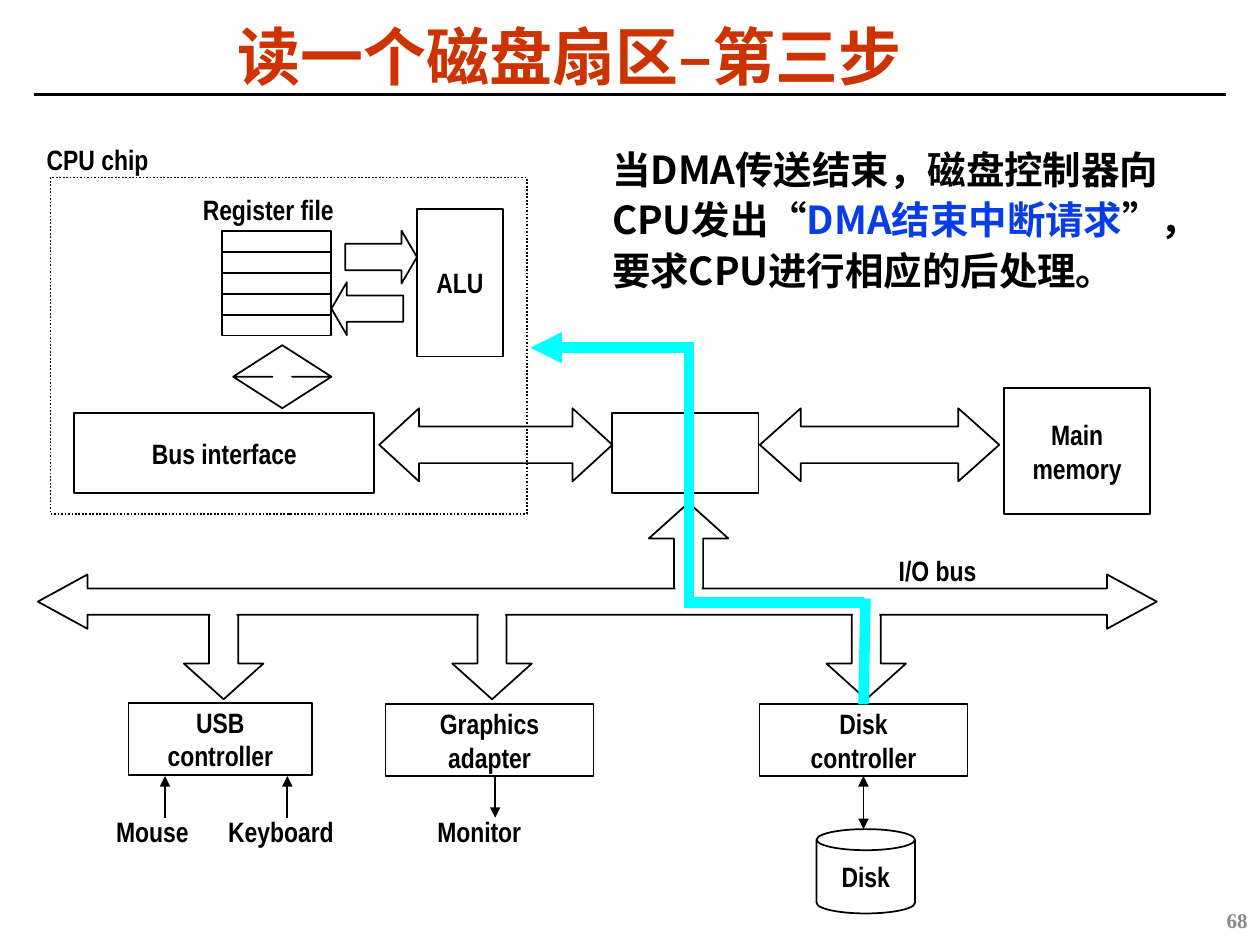
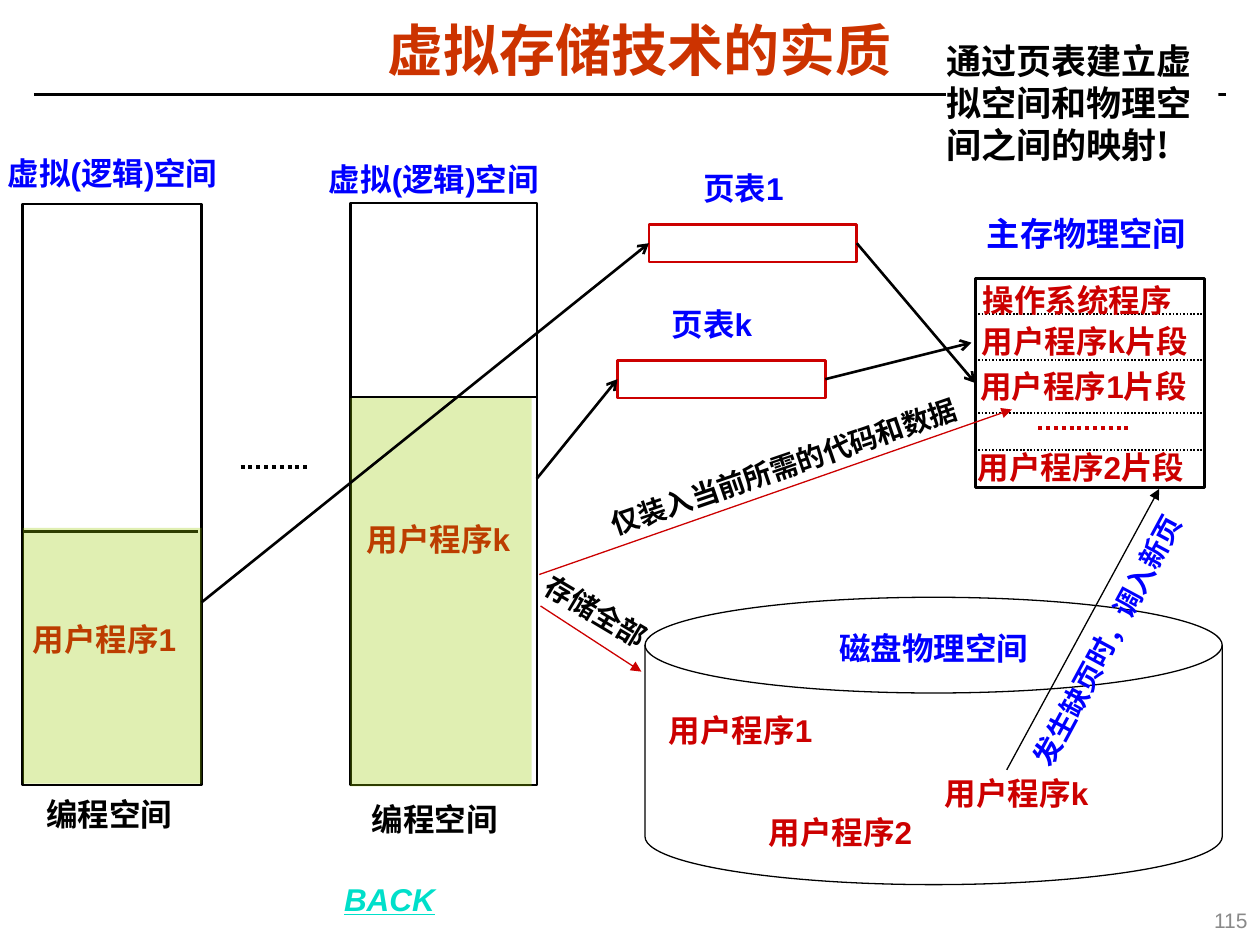
from dataclasses import dataclass

import pptx
import pptx.dml.color
import pptx.enum.dml
import pptx.enum.shapes
import pptx.enum.text
import pptx.oxml
import pptx.oxml.ns
import pptx.util

Pt = pptx.util.Pt
SHAPE = pptx.enum.shapes.MSO_SHAPE
ALIGN = pptx.enum.text.PP_ALIGN
ANCHOR = pptx.enum.text.MSO_ANCHOR
FIT = pptx.enum.text.MSO_AUTO_SIZE
DOTTED = pptx.enum.dml.MSO_LINE.ROUND_DOT
qn = pptx.oxml.ns.qn

BLACK, WHITE, GREY = "000000", "FFFFFF", "898989"
ORANGE, RED, BLUE, CYAN = "CC3300", "CC0000", "0000FF", "00FFFF"
GREEN, TEAL, ROYAL = "99CC00", "00DFCA", "063DE8"
CJK = "Noto Sans CJK SC"
TOP, LEFT, BOTTOM, RIGHT = range(4)
Box = tuple[float, float, float, float]
Point = tuple[float, float]


@dataclass(frozen=True)
class Text:
    size: float = 18
    font: str = "Arial"
    color: str = BLACK
    bold: bool = True
    italic: bool = False
    underline: bool = False
    align: ALIGN = ALIGN.LEFT
    anchor: ANCHOR = ANCHOR.TOP
    wrap: bool = True
    inset: bool = False
    spacing: float = 1.0


@dataclass(frozen=True)
class Line:
    color: str = BLACK
    width: float = 1
    dotted: bool = False
    head: str = ""
    tail: str = ""


@dataclass(frozen=True)
class AddressSpace:
    frame: Box
    program: str
    program_at: Point
    divider: tuple[Point, Point]
    caption_at: Point
    heading_at: Point
    used: Box


@dataclass(frozen=True)
class PageTable:
    name: str
    at: Point
    source: Point
    target: Point


def rgb(color: str) -> pptx.dml.color.RGBColor:
    return pptx.dml.color.RGBColor.from_string(color)


def make_tag(parent, tag: str, **attrs: str):
    """Append a DrawingML element to its parent."""
    el = pptx.oxml.parse_xml(f"<a:{tag} {pptx.oxml.ns.nsdecls('a')}/>")
    for name, value in attrs.items():
        el.set(name, value)
    parent.append(el)
    return el


def write(s, text, style: Text, fit: FIT = FIT.NONE) -> None:
    """Write lines of text; a line is a string or a list of (text, colour)."""
    tf = s.text_frame
    frame = dict(auto_size=fit, word_wrap=style.wrap, vertical_anchor=style.anchor)
    for side in ("left", "right", "top", "bottom"):
        inset = 7.2 if side in ("left", "right") else 3.6
        frame["margin_" + side] = Pt(inset if style.inset else 0)
    for name, value in frame.items():
        setattr(tf, name, value)
    for i, line in enumerate(text.split("\n") if isinstance(text, str) else [text]):
        p = tf.add_paragraph() if i else tf.paragraphs[0]
        p.alignment, p.line_spacing = style.align, style.spacing
        for words, color in [(line, style.color)] if isinstance(line, str) else line:
            r = p.add_run()
            r.text = words
            fmt = dict(size=Pt(style.size), name=style.font, bold=style.bold,
                       italic=style.italic, underline=style.underline)
            for name, value in fmt.items():
                setattr(r.font, name, value)
            r.font.color.rgb = rgb(color)
            rpr = r.font._element
            rpr.find(qn("a:latin")).addnext(make_tag(rpr, "ea", typeface=CJK))


def set_line(ln, line: Line) -> None:
    ln.color.rgb = rgb(line.color)
    ln.width = Pt(line.width)
    if line.dotted:
        ln.dash_style = DOTTED


def add_shape(sl, kind: SHAPE, box: Box, line: Line | None = Line(), fill: str = "",
              adj: tuple[float, ...] = (), alpha: int = 100):
    s = sl.shapes.add_shape(kind, *map(Pt, box))
    s.shadow.inherit = False
    for i, value in enumerate(adj):
        s.adjustments[i] = value
    if fill:
        s.fill.solid()
        s.fill.fore_color.rgb = rgb(fill)
        if alpha < 100:
            make_tag(s._element.spPr.find(".//" + qn("a:srgbClr")), "alpha",
                     val=str(alpha * 1000))
    else:
        s.fill.background()
    if line:
        set_line(s.line, line)
    else:
        s.line.fill.background()
    return s


def add_text(sl, box: Box, text, style: Text, rotation: float = 0):
    s = sl.shapes.add_textbox(*map(Pt, box))
    write(s, text, style, FIT.SHAPE_TO_FIT_TEXT)
    s.rotation = rotation
    return s


def add_line(sl, start: Point, end: Point, line: Line = Line(), begin_at=None, end_at=None):
    """Draw a straight line; begin_at and end_at are (shape, side) joints."""
    c = sl.shapes.add_connector(pptx.enum.shapes.MSO_CONNECTOR.STRAIGHT,
                                *map(Pt, start + end))
    set_line(c.line, line)
    for tag, kind in (("headEnd", line.head), ("tailEnd", line.tail)):
        if kind:
            make_tag(c.line._get_or_add_ln(), tag, type=kind)
    make_tag(c._element.spPr, "effectLst")
    if begin_at:
        c.begin_connect(*begin_at)
    if end_at:
        c.end_connect(*end_at)
    return c


def new_slide(prs, title: str, box: Box, style: Text):
    sl = prs.slides.add_slide(prs.slide_layouts[5])
    s = sl.shapes.title
    s.left, s.top, s.width, s.height = map(Pt, box)
    write(s, title, style)
    add_line(sl, (19.4, 54), (700.6, 54), Line(width=1.5))
    return sl


def title_style(size: float, font: str) -> Text:
    return Text(size, font, ORANGE, align=ALIGN.CENTER, anchor=ANCHOR.MIDDLE,
                inset=True, spacing=0.87)


def add_number(sl, number: str, font: str, bold: bool) -> None:
    s = sl.shapes.add_textbox(*map(Pt, (558, 511.2, 162, 28.8)))
    write(s, number, Text(12, font, GREY, bold, align=ALIGN.RIGHT,
                          anchor=ANCHOR.MIDDLE, inset=True))


def build_disk_read(prs) -> None:
    sl = new_slide(prs, "读一个磁盘扇区–第三步", (26.6, 12.2, 597.6, 44.6),
                   title_style(36, CJK))
    label = Text(16, "Arial Narrow", align=ALIGN.CENTER, anchor=ANCHOR.MIDDLE,
                 wrap=False, inset=True)

    def block(text: str, box: Box, kind: SHAPE = SHAPE.RECTANGLE):
        s = add_shape(sl, kind, box)
        write(s, text, label)
        return s

    # CPU chip, bridge and main memory
    block("Main\nmemory", (573.8, 221.8, 83.5, 72))
    add_shape(sl, SHAPE.LEFT_RIGHT_ARROW, (434.2, 233.3, 136.8, 41.8), adj=(0.5, 0.56))
    add_shape(sl, SHAPE.RECTANGLE, (349.9, 236.2, 83.5, 45.4))
    add_shape(sl, SHAPE.LEFT_RIGHT_ARROW, (216.7, 233.3, 133.2, 41.8), adj=(0.5, 0.545))
    for i in range(5):
        add_shape(sl, SHAPE.RECTANGLE, (126.7, 131.8 + 12 * i, 62.6, 12))
    add_shape(sl, SHAPE.RIGHT_ARROW, (197.3, 131.8, 41, 30.2), adj=(0.5, 0.292))
    add_shape(sl, SHAPE.LEFT_ARROW, (189.4, 161.3, 41, 30.2), adj=(0.5, 0.292))
    block("ALU", (238.3, 119.5, 49, 84.2))
    add_shape(sl, SHAPE.UP_DOWN_ARROW, (133.2, 197.3, 56.2, 36), adj=(0.5, 0.2))
    add_shape(sl, SHAPE.RECTANGLE, (28.8, 101.5, 272.2, 192.2), Line(dotted=True))
    block("Bus interface", (42.5, 236.2, 171.4, 45.4))

    # Controllers and devices
    add_shape(sl, SHAPE.UP_ARROW, (370.8, 287.3, 45.4, 54), adj=(0.367, 0.449))
    for x in (105.1, 258.5, 472.3):
        add_shape(sl, SHAPE.DOWN_ARROW, (x, 345.6, 45.4, 54), adj=(0.367, 0.449))
    block("USB\ncontroller", (73.4, 401.8, 105.1, 41))
    block("Graphics\nadapter", (220.3, 402.5, 118.8, 41))
    disk_controller = block("Disk\ncontroller", (434, 402.5, 118.8, 41))
    block("Disk", (466.6, 473.8, 56.2, 48.2), SHAPE.CAN)
    for x, ends in ((94.3, Line(head="triangle")), (164.2, Line(head="triangle")),
                    (283, Line(tail="triangle"))):
        add_line(sl, (x, 443.5), (x, 467.3), ends)
    add_line(sl, (493.4, 443.5), (493.4, 473.8), Line(head="triangle", tail="triangle"),
             begin_at=(disk_controller, BOTTOM))

    # I/O bus, with patches that open it into the arrows
    add_shape(sl, SHAPE.LEFT_RIGHT_ARROW, (21.6, 328.3, 639.4, 31), fill=WHITE,
              adj=(0.486, 0.915))
    for x, y in ((120.2, 342), (273.6, 341.3), (487.4, 340.6), (385.9, 335.5)):
        add_shape(sl, SHAPE.RECTANGLE, (x, y, 15.1, 12.2), None, WHITE)

    # Labels
    for text, x, y, width in (
            ("Register file", 108.7, 106.6, 89.3), ("CPU chip", 19.4, 77.8, 72.7),
            ("Mouse", 59, 461.5, 56.2), ("Keyboard", 123.1, 461.5, 74.9),
            ("Monitor", 242.6, 461.5, 62.6), ("I/O bus", 506.2, 312.5, 59)):
        add_text(sl, (x, y, width, 26.6), text, label)

    # Interrupt path from the disk controller to the CPU
    path = Line(CYAN, 6)
    add_line(sl, (396.7, 198.7), (303.1, 198.7), Line(CYAN, 6, tail="triangle"))
    add_line(sl, (393.8, 197.3), (393.8, 342), path)
    add_line(sl, (391, 344.2), (493.9, 344.2), path)
    add_line(sl, (494.6, 342), (493.4, 402.5), path, end_at=(disk_controller, TOP))

    add_text(sl, (342.7, 77, 353.5, 94.3),
             [("当DMA传送结束，磁盘控制器向CPU发出“", BLACK), ("DMA结束中断请求", ROYAL),
              ("”，要求CPU进行相应的后处理。", BLACK)],
             Text(22, CJK, inset=True, spacing=1.1))
    add_number(sl, "68", "Times New Roman", True)


SPACES = (
    AddressSpace((200.2, 115.9, 106.6, 332.6), "用户程序k", (209.5, 297.4),
                 ((200.2, 226.8), (306, 226.8)), (212.4, 457.2), (187.9, 91.4),
                 (200.2, 227.5, 103.7, 221.8)),
    AddressSpace((13, 116.6, 102.2, 331.9), "用户程序1", (18.7, 354.2),
                 ((12.2, 303.8), (113, 303.8)), (26.6, 454.3), (4.3, 87.8),
                 (13, 301.7, 102.2, 146.2)),
)
TABLES = (
    PageTable("页表1", (370.8, 128.2), (115.2, 344.2), (557.3, 218.9)),
    PageTable("页表k", (352.8, 205.9), (306.7, 273.6), (555.1, 195.8)),
)


def build_virtual_memory(prs) -> None:
    sl = new_slide(prs, "虚拟存储技术的实质", (18.7, 10.1, 693.4, 41.8),
                   title_style(32, "Arial"))
    black, red, blue = Text(), Text(color=RED), Text(color=BLUE)
    thick = Line(width=1.5)

    # Virtual address spaces
    for space in SPACES:
        add_shape(sl, SHAPE.RECTANGLE, space.frame, thick, WHITE)
        add_line(sl, *space.divider, thick)
        add_text(sl, (*space.caption_at, 88, 21.6), "编程空间", black)
        add_text(sl, (*space.heading_at, 137.5, 21.6), "虚拟(逻辑)空间", blue)
        add_text(sl, (*space.program_at, 84.2, 21.6), space.program, red)
    add_line(sl, (137.5, 267.1), (175.7, 267.1), Line(BLACK, 2.25, True))

    # Disk
    add_shape(sl, SHAPE.FLOWCHART_MAGNETIC_DISK, (368.6, 341.3, 329.8, 164.2),
              Line(width=0.75), WHITE)
    add_text(sl, (479.5, 359.3, 111.6, 21.6), "磁盘物理空间", blue)
    for name, x, y in (("1", 382.3, 406.1), ("k", 540, 442.1), ("2", 439.2, 464.4)):
        add_text(sl, (x, y, 84.2, 21.6), "用户程序" + name, red)

    # Main memory
    add_text(sl, (564, 121.7, 150, 23), "主存物理空间", Text(19, color=BLUE))
    memory = add_shape(sl, SHAPE.RECTANGLE, (557.3, 159.1, 131, 119.5), thick, WHITE)
    for y in (179.3, 205.9, 236.2, 257):
        add_line(sl, (557, y), (687.5, y), Line(dotted=True))
    for text, x, y in (("操作系统程序", 561.6, 160.6), ("用户程序k片段", 560.9, 184.3),
                       ("用户程序1片段", 560.2, 209.5), ("用户程序2片段", 558.7, 256.3)):
        add_text(sl, (x, y, 130.3, 21.6), text, red)
    add_line(sl, (593.3, 244.8), (645.8, 244.8), Line(RED, 2.25, True))

    # Remark over the title rule
    remark = add_shape(sl, SHAPE.RECTANGLE, (540.7, 22.3, 155.5, 72), None, WHITE)
    write(remark, "通过页表建立虚拟空间和物理空间之间的映射!", Text(20, CJK),
          FIT.SHAPE_TO_FIT_TEXT)

    # Used parts of the address spaces
    for space in SPACES:
        add_shape(sl, SHAPE.RECTANGLE, space.used, None, GREEN, alpha=30)

    # Transfers with slanted captions
    for start, end, line_color, box, text, color, angle in (
            ((308.2, 328.3), (578.2, 234), RED, (344.2, 256.3, 211, 19.4),
             "仅装入当前所需的代码和数据", BLACK, 341.1),
            ((308.9, 346.3), (366.5, 383.8), RED, (308.2, 341.3, 70.6, 19.4),
             "存储全部", BLACK, 30.7),
            ((575.3, 439.9), (662.4, 279.4), BLACK, (539.3, 333.4, 211, 19.4),
             "发生缺页时，调入新页", BLUE, 298.2)):
        add_line(sl, start, end, Line(line_color, 0.75, tail="triangle"))
        add_text(sl, box, text, Text(16, color=color), angle)

    # Page tables
    arrow = Line(width=1.5, tail="arrow")
    for table in TABLES:
        x, y = table.at
        add_text(sl, (x + 10.1, y - 31.7, 87.8, 21.6), table.name,
                 Text(color=BLUE, align=ALIGN.CENTER))
        s = add_shape(sl, SHAPE.RECTANGLE, (x, y, 118.8, 21.6), Line(RED, 1.5), WHITE)
        add_line(sl, table.source, (x, y + 10.8), arrow, end_at=(s, LEFT))
        add_line(sl, (x + 118.8, y + 10.8), table.target, arrow, begin_at=(s, RIGHT),
                 end_at=(memory, LEFT) if table is TABLES[0] else None)

    add_text(sl, (196.6, 502.6, 148.3, 21.6), "BACK",
             Text(color=TEAL, italic=True, underline=True))
    add_number(sl, "115", "Arial", False)


def main() -> None:
    prs = pptx.Presentation()
    prs.slide_width, prs.slide_height = Pt(720), Pt(540)
    build_disk_read(prs)
    build_virtual_memory(prs)
    prs.save("out.pptx")


if __name__ == "__main__":
    main()
